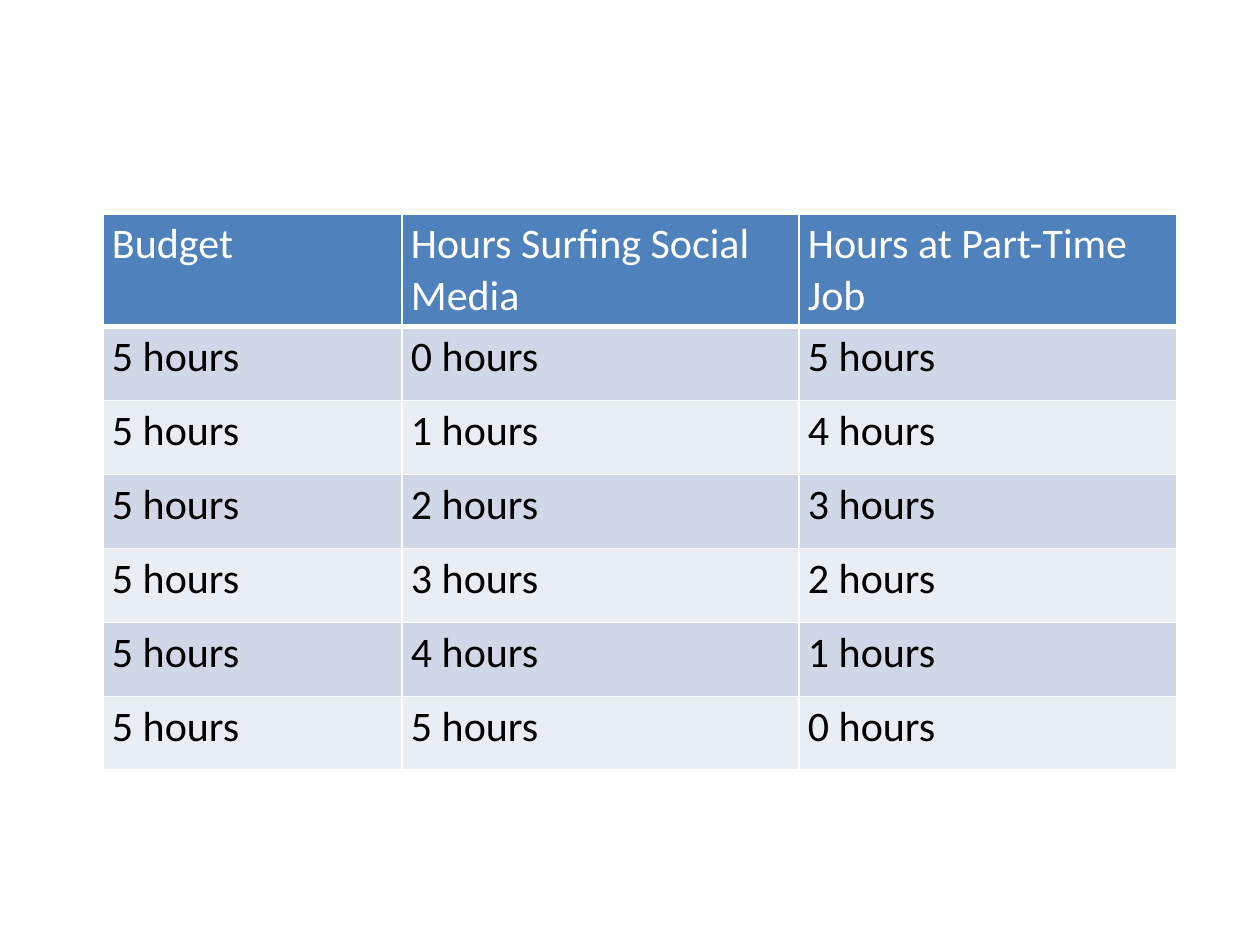
"""Build a slide with a table of ways to split a five-hour time budget."""
from dataclasses import dataclass

from lxml.etree import SubElement
from pptx import Presentation
from pptx.dml.color import RGBColor
from pptx.oxml.ns import qn
from pptx.util import Emu, Pt

BUDGET = 5
HEADINGS = ["Budget", "Hours Surfing Social Media", "Hours at Part-Time Job"]
SPLITS = [(BUDGET, surfing, BUDGET - surfing) for surfing in range(BUDGET + 1)]

SLIDE_SIZE = (1260, 945)
TABLE_ORIGIN = (103, 214)
COLUMN_WIDTHS = [299, 397, 378]
HEADING_HEIGHT, SPLIT_HEIGHT = 111, 74
MARGIN_X, MARGIN_Y = 9, 5


@dataclass(frozen=True)
class Theme:
    font: str = "Calibri"
    size: int = 24
    heading_text: str = "FFFFFF"
    heading_fill: str = "4F81BD"
    body_text: str = "000000"
    bands: tuple = ("D0D8E8", "E9EDF4")
    rule: str = "FFFFFF"
    rule_width: int = 1
    heading_rule_width: int = 3


THEME = Theme()


def px(length):
    return Emu(round(length * 914400 / 126))


def add_borders(cell, bottom_width):
    properties = cell._tc.get_or_add_tcPr()
    for side in "LRTB":
        width = bottom_width if side == "B" else THEME.rule_width
        border = SubElement(properties, qn(f"a:ln{side}"), w=str(Pt(width)))
        fill = SubElement(border, qn("a:solidFill"))
        SubElement(fill, qn("a:srgbClr"), val=THEME.rule)


def write_cell(cell, text, *, color, fill, bottom_width=THEME.rule_width):
    add_borders(cell, bottom_width)
    cell.fill.solid()
    cell.fill.fore_color.rgb = RGBColor.from_string(fill)
    cell.margin_left = cell.margin_right = px(MARGIN_X)
    cell.margin_top = cell.margin_bottom = px(MARGIN_Y)
    run = cell.text_frame.paragraphs[0].add_run()
    run.text = text
    run.font.name = THEME.font
    run.font.size = Pt(THEME.size)
    run.font.bold = False
    run.font.color.rgb = RGBColor.from_string(color)


def main():
    deck = Presentation()
    deck.slide_width, deck.slide_height = map(px, SLIDE_SIZE)
    slide = deck.slides.add_slide(deck.slide_layouts[6])

    row_heights = [HEADING_HEIGHT] + [SPLIT_HEIGHT] * len(SPLITS)
    table_box = (*TABLE_ORIGIN, sum(COLUMN_WIDTHS), sum(row_heights))
    schedule = slide.shapes.add_table(
        len(row_heights), len(COLUMN_WIDTHS), *map(px, table_box)
    ).table
    for column, width in zip(schedule.columns, COLUMN_WIDTHS):
        column.width = px(width)
    for row, height in zip(schedule.rows, row_heights):
        row.height = px(height)

    for column, heading in enumerate(HEADINGS):
        write_cell(schedule.cell(0, column), heading, color=THEME.heading_text,
                   fill=THEME.heading_fill, bottom_width=THEME.heading_rule_width)
    for index, split in enumerate(SPLITS):
        for column, hours in enumerate(split):
            write_cell(schedule.cell(index + 1, column), f"{hours} hours",
                       color=THEME.body_text, fill=THEME.bands[index % 2])

    deck.save("out.pptx")


if __name__ == "__main__":
    main()
